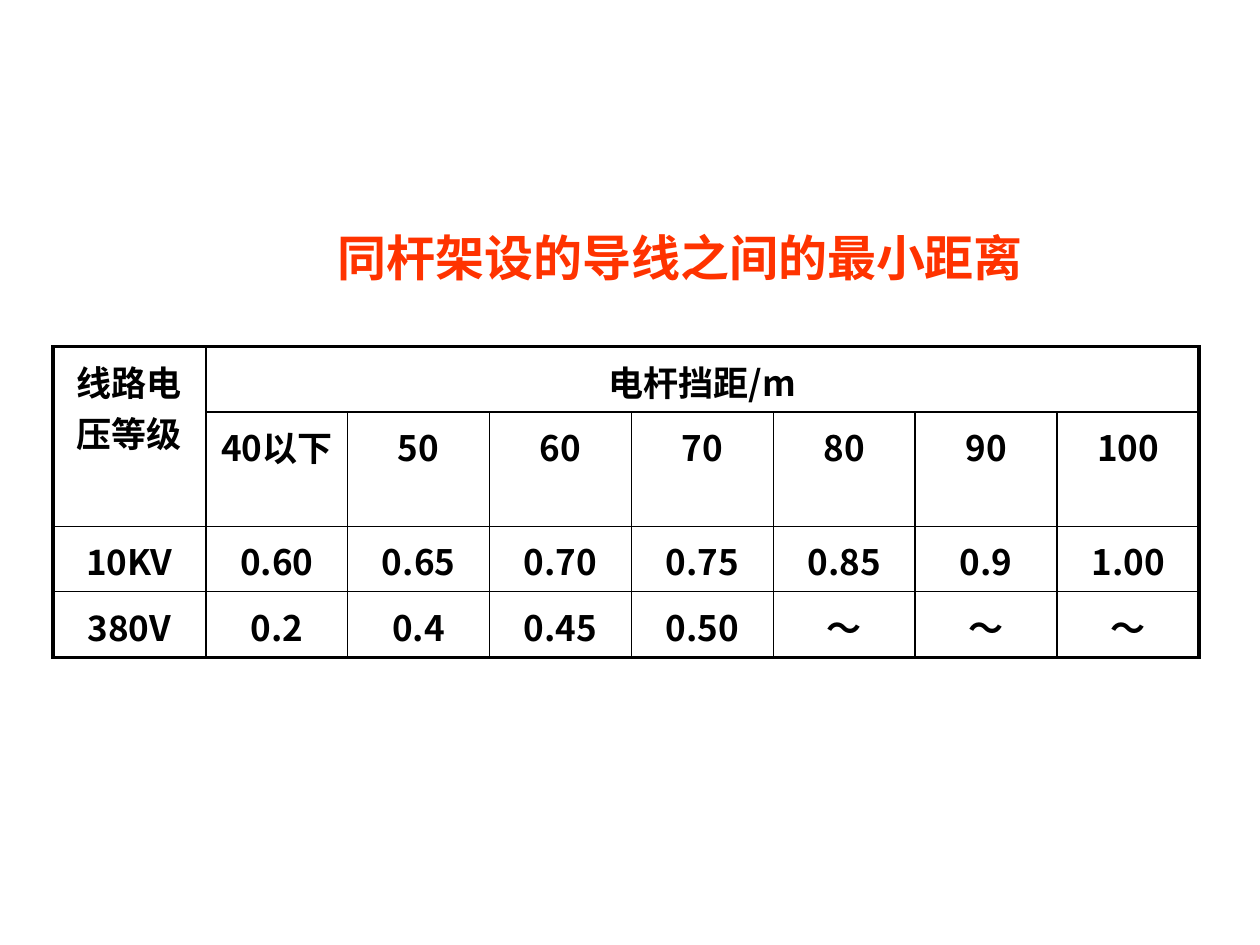
import pptx
import pptx.util
import pptx.dml.color
import pptx.enum.text
import pptx.oxml.ns
import lxml.etree
from dataclasses import dataclass

Cm, Pt = pptx.util.Cm, pptx.util.Pt
Align = pptx.enum.text.PP_ALIGN
Anchor = pptx.enum.text.MSO_ANCHOR
qn = pptx.oxml.ns.qn


@dataclass(frozen=True)
class Theme:
    ink: str = "000000"
    red: str = "FF3300"
    head: int = 28
    body: int = 20
    sans: str = "Noto Sans CJK SC"
    serif: str = "Times New Roman"
    thin: float = 1
    thick: float = 2.25


THEME = Theme()
TITLE = "同杆架设的导线之间的最小距离"
ROWS = [
    ["线路电压等级", "电杆挡距/m"],
    ["", "40以下", "50", "60", "70", "80", "90", "100"],
    ["10KV", "0.60", "0.65", "0.70", "0.75", "0.85", "0.9", "1.00"],
    ["380V", "0.2", "0.4", "0.45", "0.50", "～", "～", "～"],
]
WIDTHS = [3.08] + [2.86] * 7
HEIGHTS = [1.32, 2.3, 1.32, 1.32]


def write(frame, text, size=THEME.body, color=THEME.ink, font=THEME.sans):
    """Put one bold, centred paragraph into a text frame."""
    para = frame.paragraphs[0]
    para.alignment = Align.CENTER
    run = para.add_run()
    run.text = text
    run.font.size = Pt(size)
    run.font.bold = True
    run.font.name = font
    run.font.color.rgb = pptx.dml.color.RGBColor.from_string(color)
    asian = lxml.etree.SubElement(run.font._element, qn("a:ea"))
    asian.set("typeface", THEME.sans)


def edge(cell, sides):
    """Draw cell borders; sides maps L, R, T, B to widths in points."""
    props = cell._tc.get_or_add_tcPr()
    for spot, (side, width) in enumerate(sides.items()):
        line = lxml.etree.Element(qn("a:ln" + side), w=str(Pt(width)))
        fill = lxml.etree.SubElement(line, qn("a:solidFill"))
        lxml.etree.SubElement(fill, qn("a:srgbClr"), val=THEME.ink)
        props.insert(spot, line)


def add_title(slide):
    box = slide.shapes.add_textbox(Cm(5.51), Cm(4.45), Cm(16.41), Cm(1.45))
    frame = box.text_frame
    frame.word_wrap = True
    frame.vertical_anchor = Anchor.MIDDLE
    frame.margin_top = frame.margin_bottom = 0
    write(frame, TITLE, size=THEME.head, color=THEME.red, font=THEME.serif)


def add_grid(slide):
    rows, cols = len(HEIGHTS), len(WIDTHS)
    shape = slide.shapes.add_table(rows, cols, Cm(1.07), Cm(6.99),
                                   Cm(sum(WIDTHS)), Cm(sum(HEIGHTS)))
    table = shape.table
    table.first_row = table.horz_banding = False
    for col, width in zip(table.columns, WIDTHS):
        col.width = Cm(width)
    for row, height in zip(table.rows, HEIGHTS):
        row.height = Cm(height)

    # Heading cells that span rows or columns
    table.cell(0, 0).merge(table.cell(1, 0))
    table.cell(0, 1).merge(table.cell(0, cols - 1))

    # Borders: thick around the table, thin inside
    for r in range(rows):
        for c in range(cols):
            cell = table.cell(r, c)
            cell.fill.background()
            cell.margin_top, cell.margin_bottom = Cm(0.18), Cm(0.05)
            right = c + cell.span_width if cell.is_merge_origin else c + 1
            outer = {"L": c == 0, "R": right == cols,
                     "T": r == 0, "B": r == rows - 1}
            edge(cell, {side: THEME.thick if out else THEME.thin
                        for side, out in outer.items()})

    # Values
    for r, texts in enumerate(ROWS):
        for c, text in enumerate(texts):
            if text:
                write(table.cell(r, c).text_frame, text)


def main():
    deck = pptx.Presentation()
    deck.slide_width, deck.slide_height = Cm(25.4), Cm(19.05)
    slide = deck.slides.add_slide(deck.slide_layouts[6])
    add_grid(slide)
    add_title(slide)
    deck.save("out.pptx")


if __name__ == "__main__":
    main()
